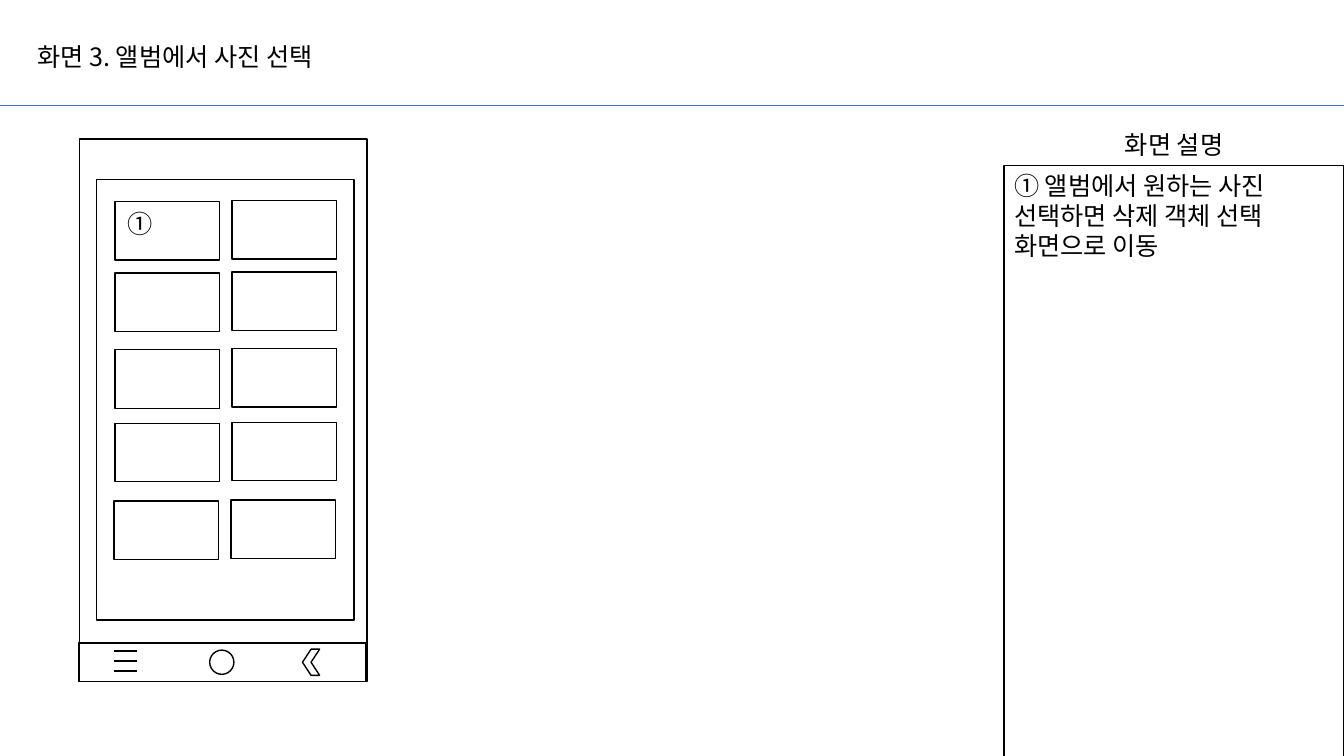
from collections import namedtuple

from lxml.etree import SubElement
from pptx import Presentation
from pptx.dml.color import RGBColor
from pptx.enum.shapes import MSO_CONNECTOR as Connector, MSO_SHAPE as Shape
from pptx.enum.text import MSO_ANCHOR as Anchor, MSO_AUTO_SIZE as AutoSize, PP_ALIGN as Align
from pptx.oxml.ns import qn
from pptx.util import Inches, Pt

Box = namedtuple("Box", "left top width height")

FONT = "Noto Sans CJK KR"
BLACK, BLUE = "000000", "4472C4"
ROW_OFFSETS = (0.22, 0.93, 1.69, 2.42, 3.19)
COLUMN_OFFSETS = ((0.18, 0), (1.34, -0.01))


def color(hex_value):
    return RGBColor.from_string(hex_value)


def lengths(box):
    return [Inches(value) for value in box]


def write(shape, text, align=Align.LEFT, anchor=Anchor.TOP, wrap=True):
    frame = shape.text_frame
    frame_format = {"word_wrap": wrap, "auto_size": AutoSize.NONE, "vertical_anchor": anchor}
    for name, value in frame_format.items():
        setattr(frame, name, value)
    para = frame.paragraphs[0]
    para.alignment = align
    span = para.add_run()
    span.text = text
    for name, value in {"name": FONT, "size": Pt(18), "bold": False}.items():
        setattr(span.font, name, value)
    span.font.color.rgb = color(BLACK)
    SubElement(span._r.get_or_add_rPr(), qn("a:ea"), typeface=FONT)


def add_outline(shapes, box, kind=Shape.RECTANGLE):
    shape = shapes.add_shape(kind, *lengths(box))
    shape.shadow.inherit = False
    shape.fill.background()
    shape.line.color.rgb = color(BLACK)
    shape.line.width = Pt(1)
    return shape


def add_rule(shapes, left, top, width, line_color, weight):
    """Draw a horizontal line to the right of the given point."""
    ends = lengths((left, top, left + width, top))
    rule = shapes.add_connector(Connector.STRAIGHT, *ends)
    rule.line.color.rgb = color(line_color)
    rule.line.width = Pt(weight)
    SubElement(rule._element.spPr, qn("a:effectLst"))


def add_label(shapes, box, text, **text_format):
    write(shapes.add_textbox(*lengths(box)), text, **text_format)


def add_header(page, box, text):
    title = page.shapes.title
    title.left, title.top, title.width, title.height = lengths(
        (box.left + 0.27, box.top + 0.36, 3.3, 0.4))
    write(title, text)
    add_rule(page.shapes, box.left, box.top + box.height, box.width, BLUE, 0.5)


def add_description(page, box, heading, text):
    heading_height = 0.41
    add_label(page.shapes, Box(box.left, box.top, box.width, 0.39), heading, align=Align.CENTER)
    panel = Box(box.left, box.top + heading_height, box.width, box.height - heading_height)
    write(add_outline(page.shapes, panel), text)


def add_gallery(page, box):
    add_outline(page.shapes, box)
    for row, row_offset in enumerate(ROW_OFFSETS):
        nudge = -0.01 if row == len(ROW_OFFSETS) - 1 else 0
        for column_offset, lift in COLUMN_OFFSETS:
            add_outline(page.shapes, Box(box.left + column_offset + nudge,
                                         box.top + row_offset + lift, 1.04, 0.58))
    add_label(page.shapes, Box(box.left + 0.21, box.top + 0.24, 0.46, 0.4), "①", wrap=False)


def add_navigation_bar(page, box):
    shapes = page.shapes.add_group_shape().shapes
    add_outline(shapes, box)
    add_outline(shapes, Box(box.left + 1.3, box.top + 0.07, 0.24, 0.24), Shape.OVAL)
    back = add_outline(shapes, Box(box.left + 2.22, box.top + 0.06, 0.17, 0.26), Shape.CHEVRON)
    back.rotation = 180
    for bar in range(3):
        add_rule(shapes, box.left + 0.35, box.top + 0.08 + 0.1 * bar, 0.23, BLACK, 1.5)


def add_phone(page, box):
    add_outline(page.shapes, box)
    add_navigation_bar(page, Box(box.left - 0.01, box.top + 5, box.width, 0.38))
    add_gallery(page, Box(box.left + 0.17, box.top + 0.4, 2.55, 4.37))


def main():
    deck = Presentation()
    deck.slide_width, deck.slide_height = Inches(13.33), Inches(7.5)
    page = deck.slides.add_slide(deck.slide_layouts[5])
    add_header(page, Box(0, 0, 13.33, 1.05), "화면 3. 앨범에서 사진 선택")
    add_description(page, Box(9.96, 1.23, 3.37, 6.3), "화면 설명",
                    "① 앨범에서 원하는 사진 선택하면 삭제 객체 선택 화면으로 이동")
    add_phone(page, Box(0.79, 1.38, 2.85, 5.38))
    deck.save("out.pptx")


if __name__ == "__main__":
    main()
